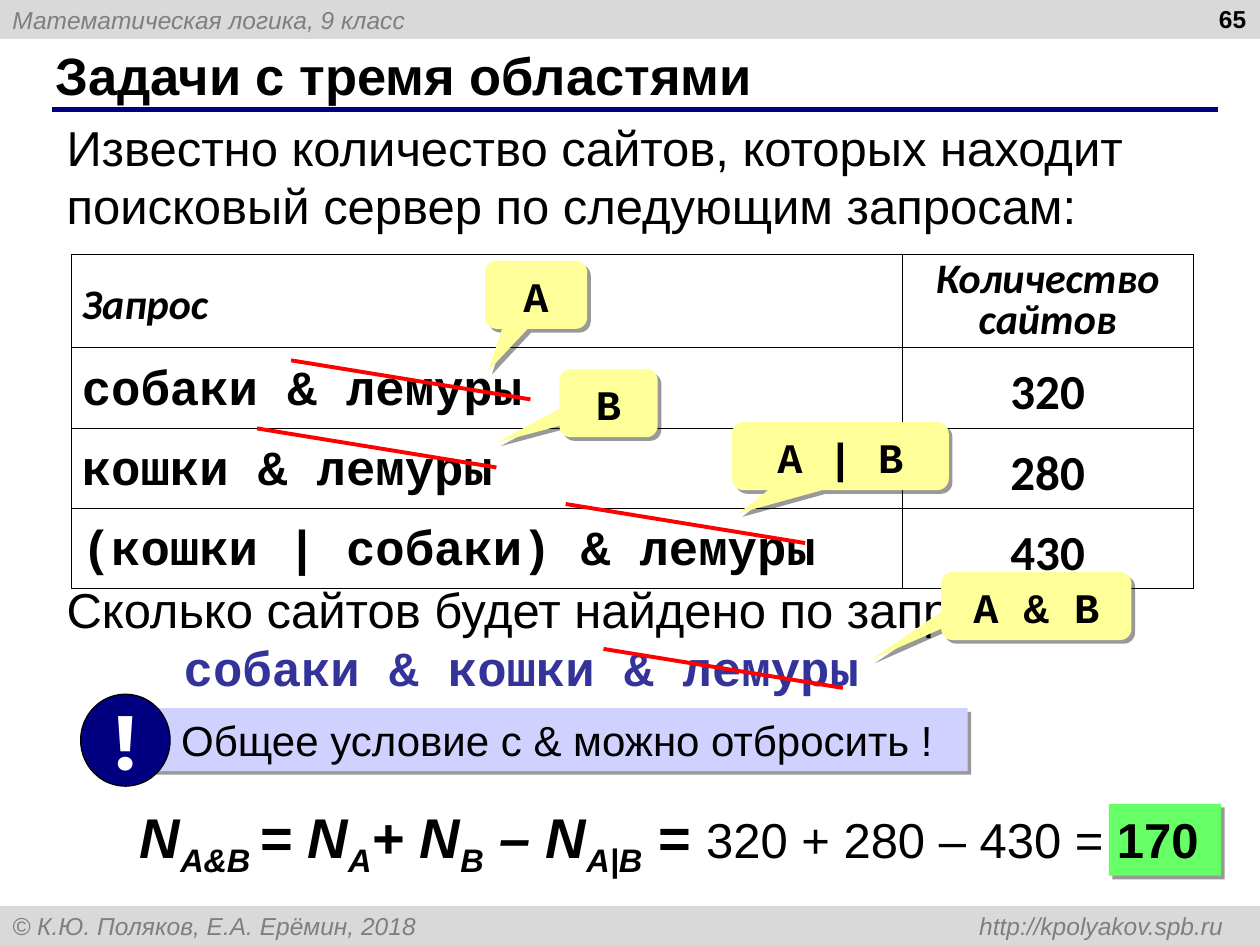
from lxml.etree import SubElement
from pptx import Presentation
from pptx.dml.color import RGBColor
from pptx.enum.shapes import MSO_CONNECTOR as LINE, MSO_SHAPE as SHAPE
from pptx.enum.text import MSO_ANCHOR as ANCHOR, PP_ALIGN as ALIGN
from pptx.oxml.ns import qn
from pptx.util import Inches, Pt

BLACK = RGBColor(0x00, 0x00, 0x00)
WHITE = RGBColor(0xFF, 0xFF, 0xFF)
BAND = RGBColor(0xD9, 0xD9, 0xD9)
GRAY = RGBColor(0x7F, 0x7F, 0x7F)
NAVY = RGBColor(0x00, 0x00, 0x80)
INDIGO = RGBColor(0x33, 0x33, 0x99)
YELLOW = RGBColor(0xFF, 0xFF, 0x99)
LILAC = RGBColor(0xD1, 0xD1, 0xFF)
GREEN = RGBColor(0x66, 0xFF, 0x66)
RED = RGBColor(0xFF, 0x00, 0x00)


def inches(*lengths):
    return [Inches(length) for length in lengths]


def set_font(font, size, name="Arial", color=BLACK, bold=False, italic=False):
    font.size, font.name = Pt(size), name
    font.bold, font.italic = bold, italic
    font.color.rgb = color


def add_box(page, area, fill, kind=SHAPE.RECTANGLE, shadow=False):
    box = page.shapes.add_shape(kind, *inches(*area))
    box.fill.solid()
    box.fill.fore_color.rgb = fill
    box.line.fill.background()
    box.shadow.inherit = False
    if shadow:
        effects = box._element.spPr.find(qn("a:effectLst"))
        outer = SubElement(effects, qn("a:outerShdw"), blurRad="0", dist=str(Pt(3)),
                           dir="2700000", algn="ctr", rotWithShape="0")
        tint = SubElement(outer, qn("a:srgbClr"), val=str(BLACK))
        SubElement(tint, qn("a:alpha"), val="40000")
    return box


def write(box, text, size, align=ALIGN.LEFT, anchor=ANCHOR.TOP, wrap=True, indent=0, **style):
    frame = box.text_frame
    frame.word_wrap = wrap
    frame.vertical_anchor = anchor
    para = frame.paragraphs[0]
    para.text = text
    para.alignment = align
    if indent:
        para._p.get_or_add_pPr().set("marL", str(Inches(indent)))
    set_font(para.font, size, **style)
    return para


def add_text(page, area, text, size, **style):
    return write(page.shapes.add_textbox(*inches(*area)), text, size, **style)


def add_line(page, start, end, color, width):
    line = page.shapes.add_connector(LINE.STRAIGHT, *inches(*start, *end))
    line.line.color.rgb = color
    line.line.width = Pt(width)
    SubElement(line._element.spPr, qn("a:effectLst"))


def add_bands(page, width, height, band=0.31):
    style = dict(anchor=ANCHOR.MIDDLE, color=GRAY, italic=True)
    write(add_box(page, (0, 0, width, band), BAND),
          "Математическая логика, 9 класс", 14, **style)
    footer = add_box(page, (0, height - band, width, band), BAND)
    para = write(footer, "", 14, **style)
    properties = para._p.get_or_add_pPr()
    tabs = properties.makeelement(qn("a:tabLst"))
    properties.insert(0, tabs)
    SubElement(tabs, qn("a:tab"), pos=str(Inches(9.61)), algn="r")
    para.add_run().text = "© К.Ю. Поляков, Е.А. Ерёмин, 2018\thttp://kpolyakov.spb.ru"
    add_text(page, (width - 2.34, -0.02, 2.33, 0.52), "65", 14, align=ALIGN.RIGHT, bold=True)


def place_title(page, area):
    left, top, width, height = area
    title = page.shapes.title
    title.left, title.top, title.width, title.height = inches(*area)
    write(title, "Задачи с тремя областями", 30, anchor=ANCHOR.MIDDLE, bold=True)
    rule = top + height + 0.02
    add_line(page, (left + 0.07, rule), (left + width + 0.17, rule), NAVY, 3)


def fill_cell(cell, text, size, spacing=1.15, **style):
    cell.fill.background()
    cell.margin_left = cell.margin_right = Inches(0.08)
    para = write(cell, text, size, anchor=ANCHOR.MIDDLE, bold=True, **style)
    cell.vertical_anchor = ANCHOR.MIDDLE
    para.line_spacing = spacing
    properties = cell._tc.get_or_add_tcPr()
    for position, side in enumerate(("lnL", "lnR", "lnT", "lnB")):
        border = properties.makeelement(qn(f"a:{side}"), w=str(Pt(0.45)))
        properties.insert(position, border)
        paint = SubElement(border, qn("a:solidFill"))
        SubElement(paint, qn("a:srgbClr"), val=str(BLACK))


def add_queries(page, area):
    queries = [("собаки & лемуры", "320"), ("кошки & лемуры", "280"),
               ("(кошки | собаки) & лемуры", "430")]
    table = page.shapes.add_table(len(queries) + 1, 2, *inches(*area)).table
    table.first_row = table.horz_banding = False
    table.columns[0].width, table.columns[1].width = inches(6.59, area[2] - 6.59)
    for index, row in enumerate(table.rows):
        row.height = Inches(0.54 if index else 0.73)
    head = dict(name="Calibri", italic=True)
    fill_cell(table.cell(0, 0), "Запрос", 24, **head)
    fill_cell(table.cell(0, 1), "Количество сайтов", 24, spacing=0.8, align=ALIGN.CENTER, **head)
    for index, (query, count) in enumerate(queries, 1):
        fill_cell(table.cell(index, 0), query, 28, name="Courier New")
        fill_cell(table.cell(index, 1), count, 28, name="Calibri", align=ALIGN.CENTER)


def add_question(page, area):
    left, top, width, height = area
    add_text(page, area, "Сколько сайтов будет найдено по запросу", 28)
    add_text(page, (left, top + 0.46, width, height), "собаки & кошки & лемуры", 28,
             indent=0.93, name="Courier New", color=INDIGO, bold=True)


def add_callout(page, area, text, tip):
    box = add_box(page, area, YELLOW, SHAPE.ROUNDED_RECTANGULAR_CALLOUT, shadow=True)
    box.adjustments[0], box.adjustments[1] = tip
    write(box, text, 24, align=ALIGN.CENTER, name="Courier New", bold=True)


def add_note(page, area):
    left, top, width, height = area
    note = add_box(page, (left + 0.51, top + 0.11, width - 0.51, 0.5), LILAC, shadow=True)
    write(note, "Общее условие с & можно отбросить !", 24, indent=0.19)
    badge = add_box(page, (left, top, 0.71, height), NAVY, SHAPE.OVAL)
    badge.line.color.rgb = BLACK
    badge.line.width = Pt(0.75)
    write(badge, "!", 44, align=ALIGN.CENTER, anchor=ANCHOR.MIDDLE, wrap=False,
          name="Montserrat", color=WHITE, bold=True)


def add_formula(page, area):
    left, top, width, height = area
    add_box(page, (left + 7.85, top + 0.09, 0.89, 0.57), GREEN, shadow=True)
    box = page.shapes.add_textbox(*inches(*area))
    frame = box.text_frame
    frame.margin_left, frame.margin_right = inches(0.16, 0)
    frame.margin_top, frame.margin_bottom = inches(0.08, 0.12)
    para = write(box, "", 32, bold=True, italic=True)
    for base, index in [("N", "A&B "), ("= N", "A"), ("+ N", "B"), (" – N", "A|B"), (" = ", "")]:
        para.add_run().text = base
        if index:
            span = para.add_run()
            span.text = index
            span.font._element.set("baseline", "-25000")
    for text, bold in [("320 + 280 – 430 = ", False), ("170", True)]:
        span = para.add_run()
        span.text = text
        set_font(span.font, 28, bold=bold)


def main():
    deck = Presentation()
    deck.slide_width, deck.slide_height = inches(10, 7.5)
    page = deck.slides.add_slide(deck.slide_layouts[5])
    add_bands(page, 10, 7.5)
    place_title(page, (0.34, 0.33, 9.16, 0.52))
    add_text(page, (0.43, 0.88, 9.19, 1.03),
             "Известно количество сайтов, которых находит поисковый сервер по следующим запросам:", 28)
    add_question(page, (0.43, 4.55, 9.19, 0.54))
    add_queries(page, (0.57, 2.02, 8.9, 2.34))
    for left, top, width, text, tip in [
            (3.85, 2.07, 0.81, "A", (-0.47, 1.12)),
            (4.44, 2.93, 0.78, "B", (-1.14, 0.58)),
            (5.81, 3.35, 1.72, "A | B", (-0.47, 0.84)),
            (7.47, 4.54, 1.51, "A & B", (-0.87, 0.79))]:
        add_callout(page, (left, top, width, 0.54), text, tip)
    add_note(page, (0.64, 5.51, 7.04, 0.73))
    for left, top in [(2.31, 2.86), (2.04, 3.4), (4.49, 4), (4.79, 5.15)]:
        add_line(page, (left, top), (left + 1.9, top + 0.31), RED, 2.25)
    add_formula(page, (0.95, 6.29, 8.8, 0.8))
    deck.save("out.pptx")


if __name__ == "__main__":
    main()
